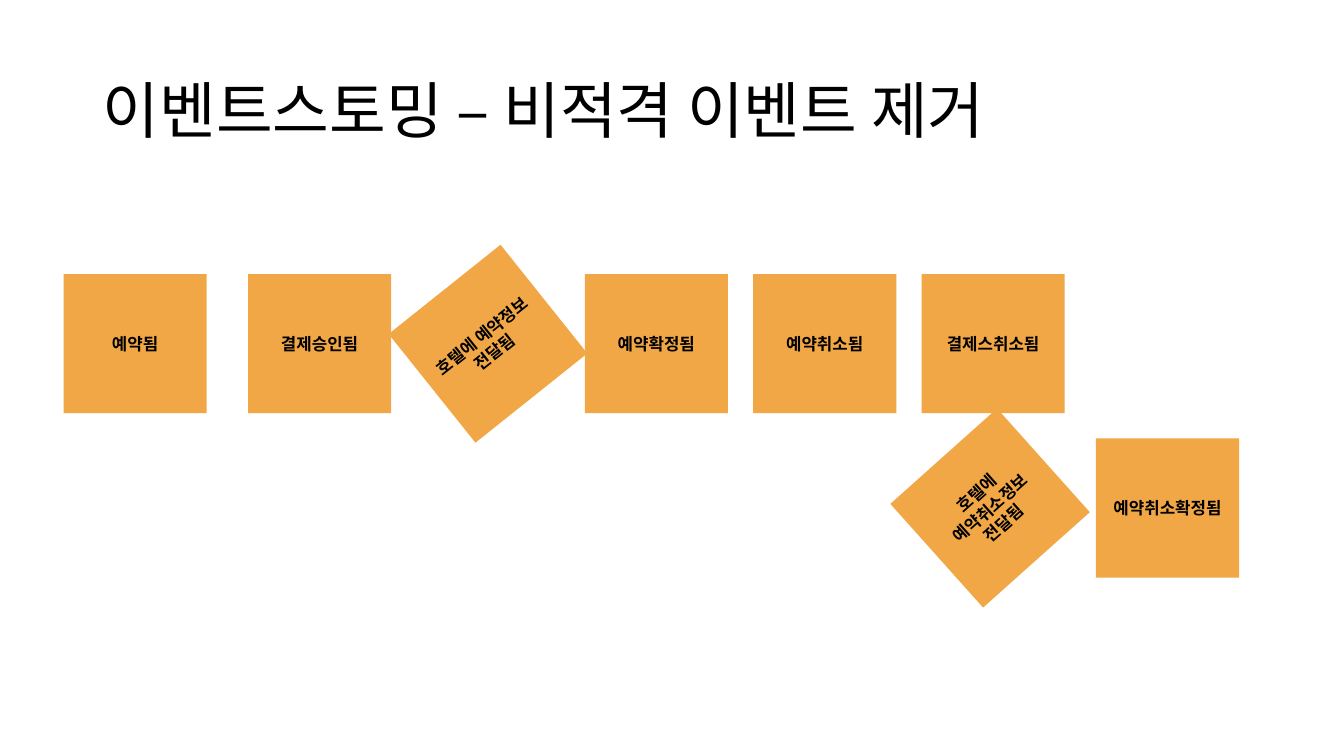
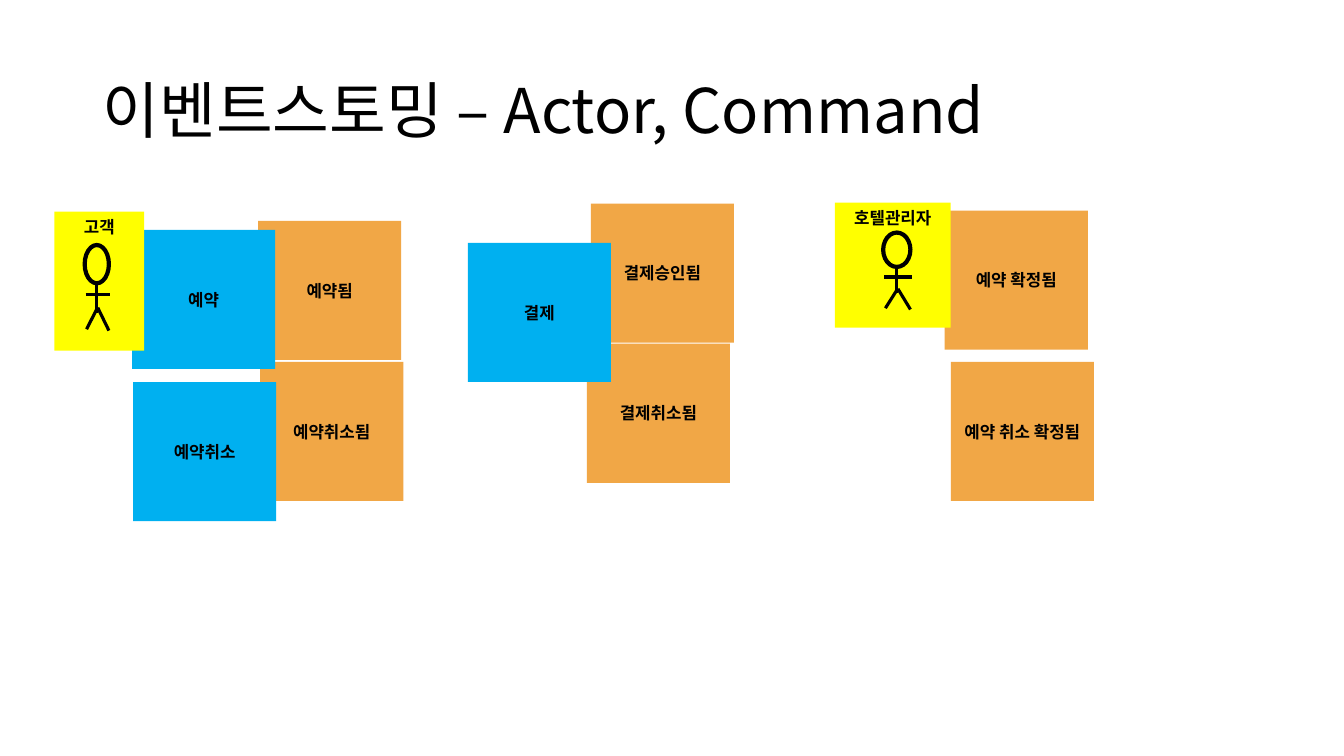
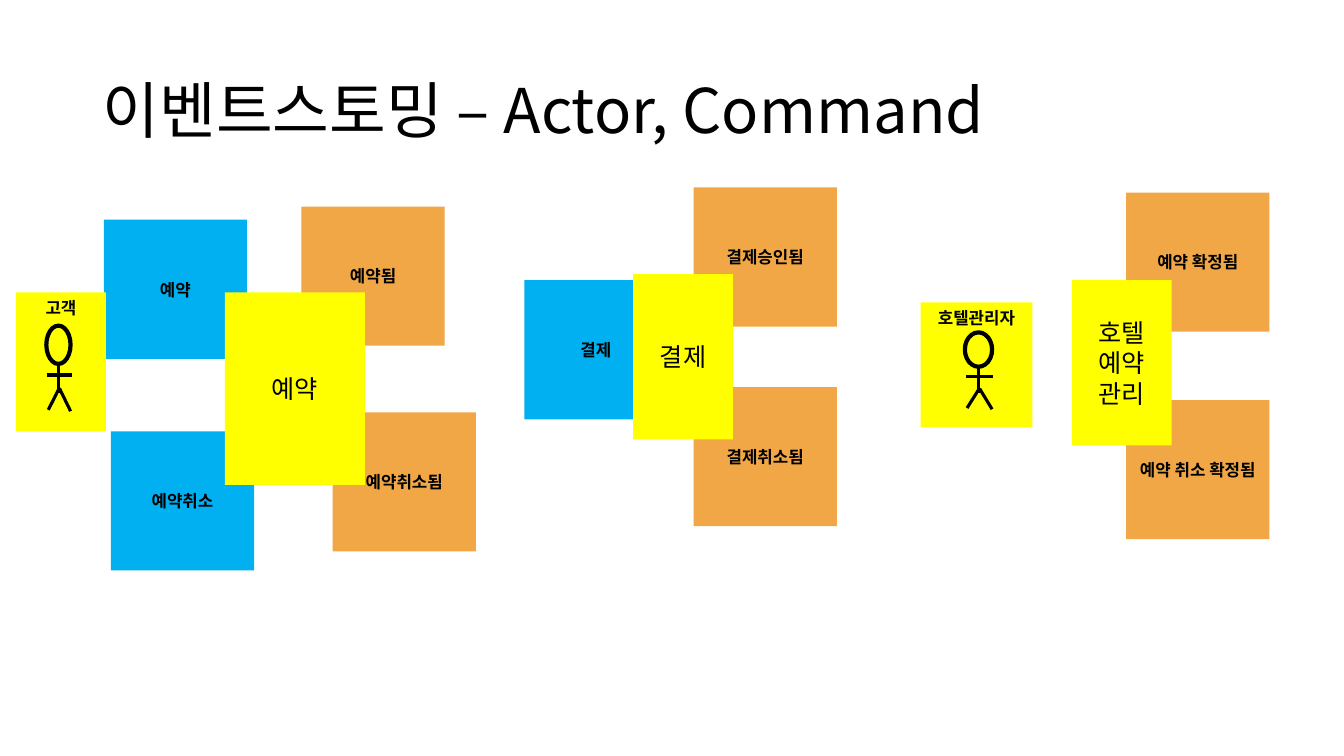
from lxml import etree
from pptx import Presentation
from pptx.dml.color import RGBColor
from pptx.enum import shapes as kinds, text as txt
from pptx.oxml import ns
from pptx.util import Inches, Pt

# Shared style
FONT = "Noto Sans CJK KR"
BLACK, EVENT, COMMAND, YELLOW = "000000", "F1A746", "00B0F0", "FFFF00"
NOTE_W, NOTE_H = 1.42, 1.38


def colour(value):
    return RGBColor.from_string(value)


def write(frame, lines, size, bold=False, align=None, anchor=txt.MSO_ANCHOR.MIDDLE):
    frame.word_wrap = True
    frame.vertical_anchor = anchor
    frame.text = lines
    for paragraph in frame.paragraphs:
        paragraph.alignment = align
        font = paragraph.font
        font.size, font.bold, font.name = Pt(size), bold, FONT
        font.color.rgb = colour(BLACK)
        east_asian = etree.SubElement(font._element, ns.qn("a:ea"))
        east_asian.set("typeface", FONT)


def add_title(slide, title):
    box = slide.shapes.add_textbox(*map(Inches, (0.92, 0.4, 11.5, 1.45)))
    write(box.text_frame, title, 44)
    box.text_frame.paragraphs[0].line_spacing = 0.9


def add_card(shapes, label, left, top, fill, width=NOTE_W, height=NOTE_H,
             size=12, bold=True, anchor=txt.MSO_ANCHOR.MIDDLE, rotation=0):
    card = shapes.add_shape(kinds.MSO_SHAPE.RECTANGLE,
                            *map(Inches, (left, top, width, height)))
    card.shadow.inherit = False
    card.fill.solid()
    card.fill.fore_color.rgb = colour(fill)
    card.line.fill.background()
    card.rotation = rotation
    write(card.text_frame, label, size, bold, txt.PP_ALIGN.CENTER, anchor)


def add_notes(slide, fill, notes):
    for label, left, top in notes:
        add_card(slide.shapes, label, left, top, fill)


def add_limb(shapes, start, end):
    limb = shapes.add_connector(kinds.MSO_CONNECTOR.STRAIGHT,
                                *map(Inches, start + end))
    limb.line.color.rgb = colour(BLACK)
    limb.line.width = Pt(2.25)
    etree.SubElement(limb._element.spPr, ns.qn("a:effectLst"))


def add_actor(slide, label, left, top, width, height, figure_left, figure_width):
    """Yellow card with a stick figure, placed at fractions of the figure's box."""
    shapes = slide.shapes.add_group_shape().shapes
    add_card(shapes, label, left, top, YELLOW, width, height,
             anchor=txt.MSO_ANCHOR.TOP)

    def point(x, y):
        return left + figure_left + x * figure_width, top + y * height

    head = shapes.add_shape(kinds.MSO_SHAPE.OVAL, *map(
        Inches, point(0, 0.24) + (figure_width, 0.275 * height)))
    head.shadow.inherit = False
    head.fill.background()
    head.line.color.rgb = colour(BLACK)
    head.line.width = Pt(3)
    # Arms, body, left leg, right leg
    for start, end in (((0.04, 0.595), (1.04, 0.595)),
                       ((0.5, 0.515), (0.5, 0.725)),
                       ((0.5, 0.7), (0.08, 0.845)),
                       ((0.54, 0.69), (1, 0.855))):
        add_limb(shapes, point(*start), point(*end))


def build_event_slide(slide):
    add_title(slide, "이벤트스토밍 – 비적격 이벤트 제거")
    # Event row
    row_top, second_top = 2.72, 4.35
    first, pitch = 2.46, 1.67
    row = ["결제승인됨", "호텔에 예약정보 전달됨", "예약확정됨", "예약취소됨", "결제스취소됨"]
    add_card(slide.shapes, "예약됨", 0.63, row_top, EVENT)
    for i, label in enumerate(row):
        add_card(slide.shapes, label, first + i * pitch, row_top, EVENT,
                 rotation=321.4 if label.startswith("호텔에") else 0)
    # Cancellation events below
    add_card(slide.shapes, "예약취소확정됨", 10.87, second_top, EVENT)
    add_card(slide.shapes, "호텔에 예약취소정보 전달됨", 9.11, second_top, EVENT,
             rotation=318.2)


def build_command_slide(slide, events, commands, actors, aggregates=()):
    add_title(slide, "이벤트스토밍 – Actor, Command")
    add_notes(slide, EVENT, events)
    add_notes(slide, COMMAND, commands)
    for actor in actors:
        add_actor(slide, *actor)
    for label, left, top, width, height in aggregates:
        add_card(slide.shapes, label, left, top, YELLOW, width, height,
                 size=18, bold=False)


def main():
    deck = Presentation()
    deck.slide_width, deck.slide_height = Inches(13.33), Inches(7.5)
    event_slide, command_slide, aggregate_slide = (
        deck.slides.add_slide(deck.slide_layouts[6]) for _ in range(3))

    build_event_slide(event_slide)
    build_command_slide(
        command_slide,
        events=[("결제취소됨", 5.82, 3.41), ("예약취소됨", 2.58, 3.59),
                ("예약됨", 2.56, 2.19), ("결제승인됨", 5.86, 2.02),
                ("예약 확정됨", 9.37, 2.09), ("예약 취소 확정됨", 9.43, 3.59)],
        commands=[("예약", 1.31, 2.28), ("결제", 4.64, 2.41),
                  ("예약취소", 1.32, 3.79)],
        actors=[("고객", 0.54, 2.1, 0.89, 1.38, 0.3, 0.24),
                ("호텔관리자", 8.28, 2.01, 1.15, 1.24, 0.48, 0.27)])
    build_command_slide(
        aggregate_slide,
        events=[("결제취소됨", 6.88, 3.84), ("예약취소됨", 3.3, 4.09),
                ("예약됨", 2.99, 2.05), ("결제승인됨", 6.88, 1.86),
                ("예약 확정됨", 11.17, 1.91), ("예약 취소 확정됨", 11.17, 3.97)],
        commands=[("예약", 1.03, 2.18), ("결제", 5.2, 2.78),
                  ("예약취소", 1.1, 4.28)],
        actors=[("고객", 0.16, 2.9, 0.89, 1.38, 0.3, 0.24),
                ("호텔관리자", 9.13, 3, 1.11, 1.24, 0.44, 0.27)],
        aggregates=[("예약", 2.23, 2.9, 1.39, 1.91),
                    ("결제", 6.28, 2.72, 0.99, 1.64),
                    ("호텔\n예약\n관리", 10.63, 2.78, 0.99, 1.64)])
    deck.save("out.pptx")


if __name__ == "__main__":
    main()
